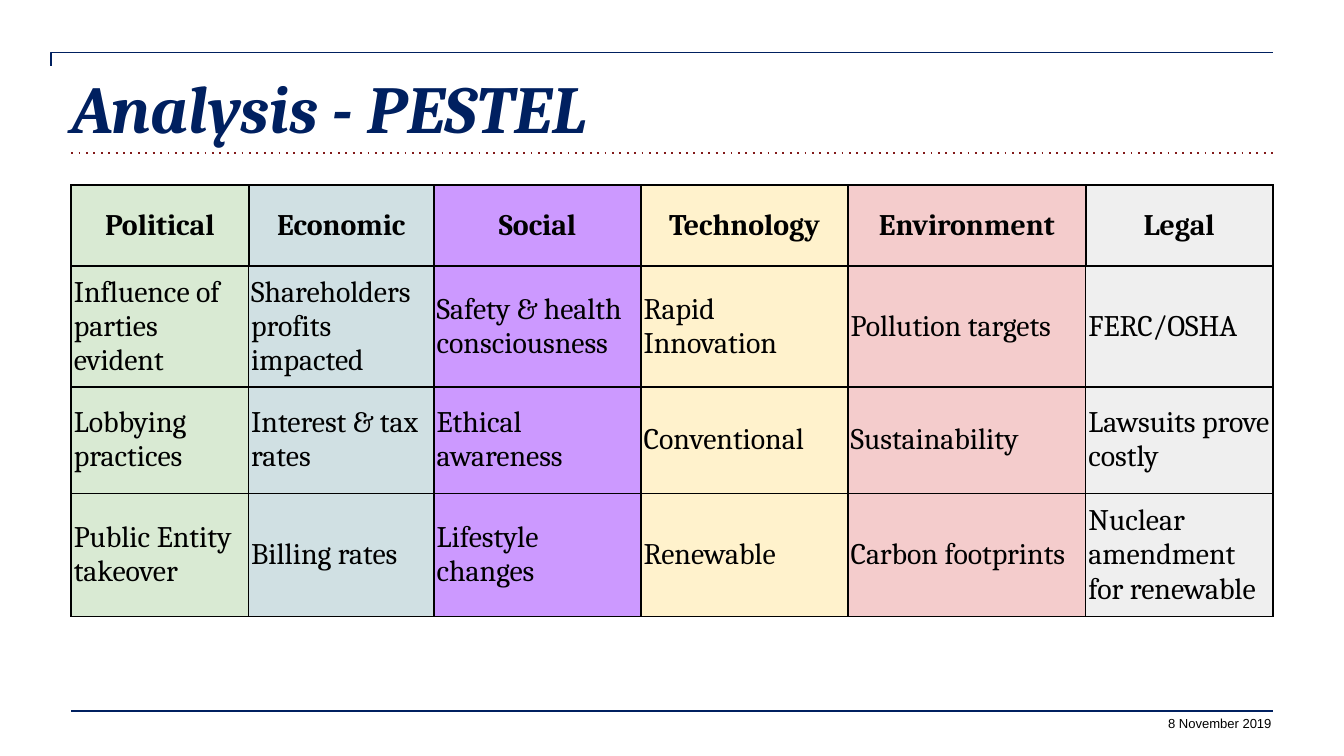
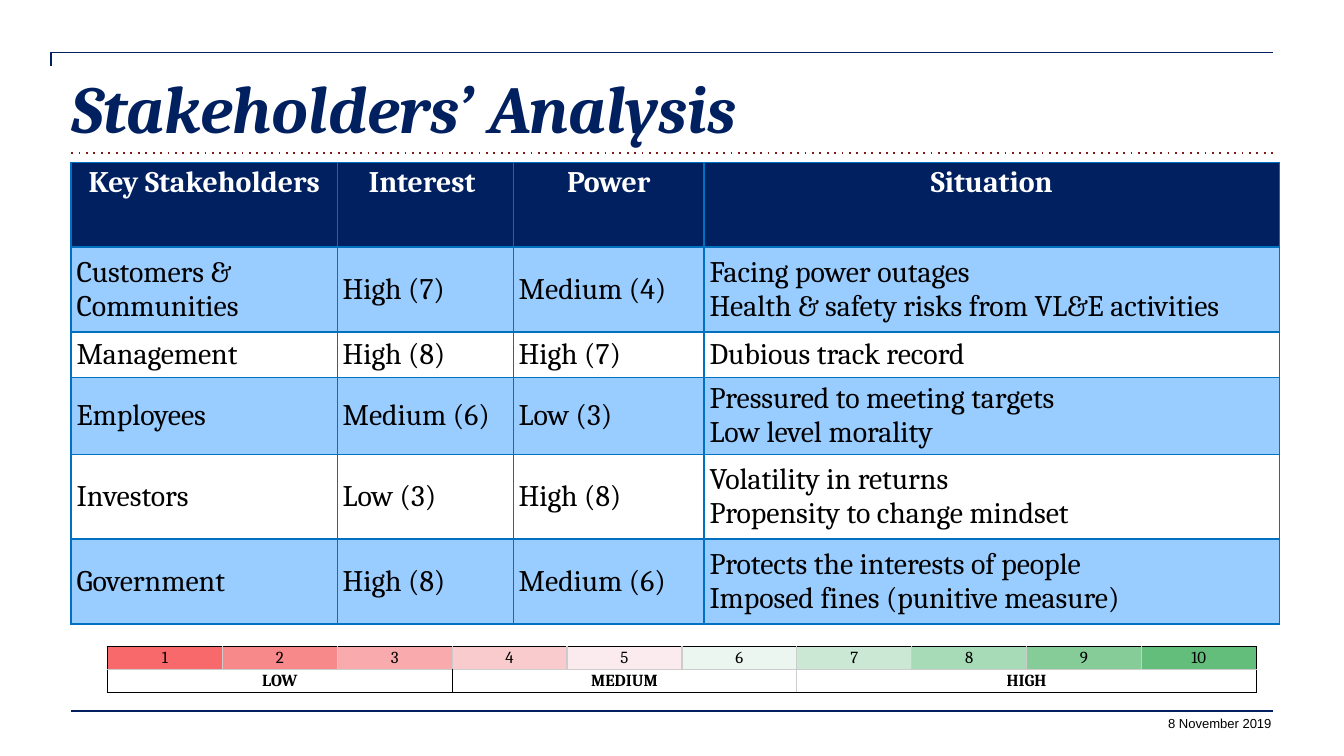
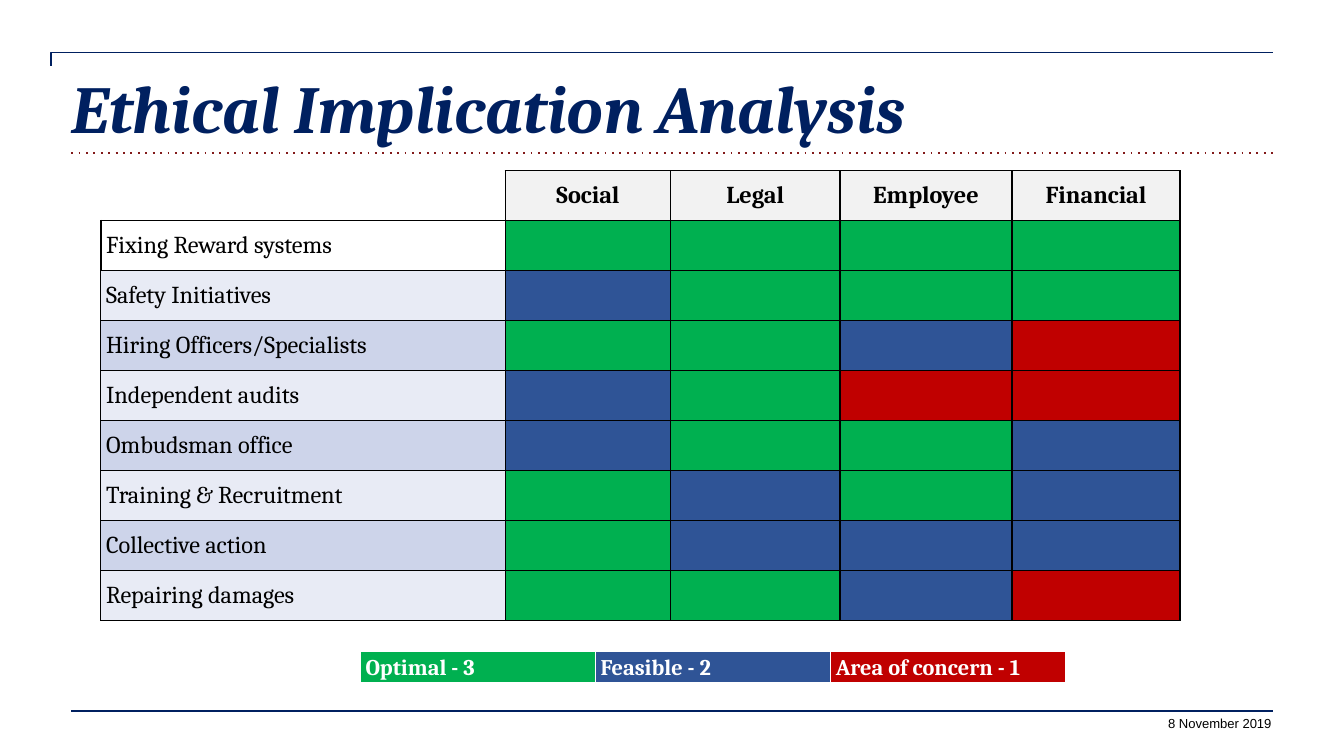
from lxml import etree
from pptx import Presentation
from pptx import util as u
from pptx.dml.color import RGBColor
from pptx.enum import shapes, text
from pptx.oxml import ns

NAVY, MAROON, BLACK, WHITE = "002060", "821A1A", "000000", "FFFFFF"
GREEN, BLUE, RED, GREY = "00B050", "2F5496", "C00000", "CCCCCC"
SERIF, SANS = "Cambria", "Arial"
LEFT, RIGHT = 0.53, 9.47
CENTER, MIDDLE = text.PP_ALIGN.CENTER, text.MSO_ANCHOR.MIDDLE


def rgb(color):
    return RGBColor.from_string(color)


def sub(parent, tag, **attrs):
    return etree.SubElement(parent, ns.qn(tag), attrs)


class Deck:
    """Holds the shared style and the current slide."""

    def __init__(self):
        self.prs = Presentation()
        self.prs.slide_width = u.Inches(10)
        self.prs.slide_height = u.Inches(10 * 9 / 16)

    def slide(self, title):
        self.s = self.prs.slides.add_slide(self.prs.slide_layouts[6])
        self.text("8 November 2019", (8.65, 5.32, 0.81, 0.12), 7, SANS, BLACK,
                  align=text.PP_ALIGN.RIGHT)
        self.line((LEFT, 5.29), (RIGHT, 5.29), NAVY, 0.75)
        self.line((LEFT, 1.14), (RIGHT, 1.14), MAROON, 1, dash="dot")
        self.line((0.38, 0.49), (RIGHT, 0.39), NAVY, 0.75, bent=True)
        self.text(title, (LEFT, 0.49, 8.95, 0.61), 36, SERIF, NAVY, bold=True,
                  italic=True, anchor=MIDDLE)

    def font(self, p, size, name, color, bold=False, italic=False):
        f = p.font
        f.size, f.name, f.bold, f.italic = u.Pt(size), name, bold, italic
        f.color.rgb = rgb(color)

    def text(self, words, at, size, name, color, bold=False, italic=False,
             align=None, anchor=None):
        tf = self.s.shapes.add_textbox(*map(u.Inches, at)).text_frame
        tf.word_wrap = True
        tf.margin_left = tf.margin_right = tf.margin_top = tf.margin_bottom = 0
        tf.vertical_anchor = anchor
        p = tf.paragraphs[0]
        p.text, p.alignment = words, align
        self.font(p, size, name, color, bold, italic)

    def line(self, start, end, color, width, dash=None, bent=False):
        kind = shapes.MSO_CONNECTOR.ELBOW if bent else shapes.MSO_CONNECTOR.STRAIGHT
        c = self.s.shapes.add_connector(kind, *map(u.Inches, start + end))
        c.line.color.rgb, c.line.width = rgb(color), u.Pt(width)
        sp_pr = c._element.spPr
        if dash:
            sub(sp_pr.find(ns.qn("a:ln")), "a:prstDash", val=dash)
        if bent:  # turn at the very start
            geom = sp_pr.find(ns.qn("a:prstGeom"))
            av = geom.find(ns.qn("a:avLst"))
            av = sub(geom, "a:avLst") if av is None else av
            sub(av, "a:gd", name="adj1", fmla="val 0")
        sub(sp_pr, "a:effectLst")

    def table(self, at, cols, heights, rows, fill, edge, size, inset,
              color=BLACK):
        """fill is a function of row and column; edge is (colour, points)."""
        frame = self.s.shapes.add_table(
            len(rows), len(cols), *map(u.Inches, at + (sum(cols), sum(heights))))
        t = frame.table
        t.first_row = t.horz_banding = False
        for col, w in zip(t.columns, cols):
            col.width = u.Inches(w)
        for row, h in zip(t.rows, heights):
            row.height = u.Inches(h)
        for i, row in enumerate(rows):
            for j, words in enumerate(row):
                c = t.cell(i, j)
                c.margin_left = c.margin_right = u.Inches(inset[0])
                c.margin_top = c.margin_bottom = u.Inches(inset[1])
                c.vertical_anchor = MIDDLE
                self.border(c, "LRTB", *edge)
                c.fill.solid()
                c.fill.fore_color.rgb = rgb(fill(i, j))
                c.text_frame.text = words
                for p in c.text_frame.paragraphs:
                    self.font(p, size, SERIF, color)
        return t

    def border(self, cell, sides, color, width):
        tc_pr = cell._tc.get_or_add_tcPr()
        for side in sides:
            ln = tc_pr.find(ns.qn("a:ln" + side))
            if ln is None:
                ln = sub(tc_pr, "a:ln" + side)
                sub(sub(ln, "a:solidFill"), "a:srgbClr")
            ln.set("w", str(u.Pt(width)))
            ln[0][0].set("val", color)

    def header(self, t, row=0, color=BLACK):
        for c in t.rows[row].cells:
            p = c.text_frame.paragraphs[0]
            p.alignment, p.font.bold = CENTER, True
            p.font.color.rgb = rgb(color)


deck = Deck()

# PESTEL grid: one tint per column, heavier header and sides
deck.slide("Analysis - PESTEL")
tints = ["D9EAD3", "D0E0E3", "CC99FF", "FFF2CC", "F4CCCC", "EFEFEF"]
pestel = [
    ["Political", "Economic", "Social", "Technology", "Environment", "Legal"],
    ["Influence of parties evident", "Shareholders profits impacted",
     "Safety & health consciousness", "Rapid Innovation", "Pollution targets",
     "FERC/OSHA"],
    ["Lobbying practices", "Interest & tax\u00a0 rates\u00a0", "Ethical awareness",
     "Conventional\u00a0", "Sustainability", "Lawsuits prove costly"],
    ["Public Entity takeover", "Billing rates", "Lifestyle changes", "Renewable",
     "Carbon footprints", "Nuclear amendment for renewable"],
]
t = deck.table((LEFT, 1.38), [1.32, 1.38, 1.54, 1.54, 1.77, 1.39],
               [0.6, 0.83, 0.79, 0.92], pestel, lambda i, j: tints[j],
               (BLACK, 0.75), 16, (0.02, 0.05))
deck.header(t)
for c in t.rows[0].cells:
    deck.border(c, "LRTB", BLACK, 1.2)
for c in t.rows[1].cells:
    deck.border(c, "T", BLACK, 1.2)
for i in range(1, len(pestel)):
    deck.border(t.cell(i, 0), "L", BLACK, 1.2)
    deck.border(t.cell(i, 5), "R", BLACK, 1.2)

# Stakeholders
deck.slide("Stakeholders’ Analysis")
stakeholders = [
    ["Key Stakeholders", "Interest\u00a0", "Power", "Situation"],
    ["Customers & Communities", "High (7)", "Medium (4)\u00a0",
     "Facing power outages\nHealth & safety risks from VL&E activities"],
    ["Management", "High (8)", "High (7)", "Dubious track record"],
    ["Employees", "Medium (6)", "Low (3)",
     "Pressured to meeting targets\nLow level morality"],
    ["Investors", "Low (3)", "High (8)",
     "Volatility in returns\nPropensity to change mindset"],
    ["Government", "High (8)", "Medium (6)",
     "Protects the interests of people\nImposed fines (punitive measure)"],
]
t = deck.table((LEFT, 1.21), [1.98, 1.31, 1.42, 4.28],
               [0.63, 0.63, 0.34, 0.53, 0.63, 0.63], stakeholders,
               lambda i, j: NAVY if i == 0 else ("99CCFF" if i % 2 else WHITE),
               ("0070C0", 1), 16, (0.04, 0.02))
deck.header(t, color=WHITE)
for c in t.rows[0].cells:
    c.vertical_anchor = text.MSO_ANCHOR.TOP

# Score scale with merged bands
scale = ["F8696B", "F8898B", "F9AAAC", "FACBCD", "FBEBEE",
         "EBF6F1", "CAE8D4", "A7DAB6", "86CC99", "63BE7B"]
bands = {0: ("LOW", 2), 3: ("MEDIUM", 5), 6: ("HIGH", 9)}
t = deck.table((0.8, 4.81), [8.55 / 10] * 10, [0.13] * 2,
               [[str(n + 1) for n in range(10)],
                [bands[n][0] if n in bands else "" for n in range(10)]],
               lambda i, j: WHITE if i else scale[j], (GREY, 0.75), 9, (0.02, 0.01))
deck.header(t, 0)
deck.header(t, 1)
for c in t.rows[0].cells:
    c.text_frame.paragraphs[0].font.bold = False
    deck.border(c, "T", BLACK, 0.75)
for c in t.rows[1].cells:
    deck.border(c, "B", BLACK, 0.75)
for i in range(2):
    deck.border(t.cell(i, 0), "L", BLACK, 0.75)
    deck.border(t.cell(i, 9), "R", BLACK, 0.75)
deck.border(t.cell(1, 3), "L", BLACK, 0.75)
for j in (0, 2, 6):
    deck.border(t.cell(1, j), "R", BLACK, 0.75)
for first, (_, last) in bands.items():
    t.cell(1, first).merge(t.cell(1, last))

# Ethical ratings: one letter per aspect
deck.slide("Ethical Implication Analysis")
rating = {"G": GREEN, "B": BLUE, "R": RED}
actions = [
    ("Fixing Reward systems", "GGGG"), ("Safety Initiatives", "BGGG"),
    ("Hiring Officers/Specialists", "GGBR"), ("Independent audits", "BGRR"),
    ("Ombudsman office", "BGGB"), ("Training & Recruitment", "GBGB"),
    ("Collective action", "GBBB"), ("Repairing damages", "GGBR"),
]


def ethics_fill(i, j):
    if i == 0:
        return "F2F2F2" if j else WHITE
    if j:
        return rating[actions[i - 1][1][j - 1]]
    return WHITE if i == 1 else ("CDD4EA" if i % 2 else "E8EBF5")


t = deck.table((0.75, 1.27), [3.01, 1.23, 1.26, 1.28, 1.25], [3.35 / 9] * 9,
               [["", "Social", "Legal", "Employee", "Financial"]]
               + [[name] + [""] * 4 for name, _ in actions],
               ethics_fill, (BLACK, 0.8), 13, (0.04, 0.02))
deck.header(t)
deck.border(t.cell(0, 0), "LT", WHITE, 0.8)
deck.border(t.cell(0, 0), "RB", BLACK, 1)
for i, j in ((0, 1), (1, 0)):
    deck.border(t.cell(i, j), "LRTB", BLACK, 1)

# Rating key
t = deck.table((2.68, 4.85), [1.75] * 3, [0.16],
               [["Optimal - 3", "Feasible - 2", "Area of concern - 1"]],
               lambda i, j: [GREEN, BLUE, RED][j], (WHITE, 0.8), 12, (0.04, 0.02))
deck.header(t, color=WHITE)
for c in t.rows[0].cells:
    c.text_frame.paragraphs[0].alignment = text.PP_ALIGN.LEFT
    deck.border(c, "B", WHITE, 2.4)

deck.prs.save("out.pptx")
